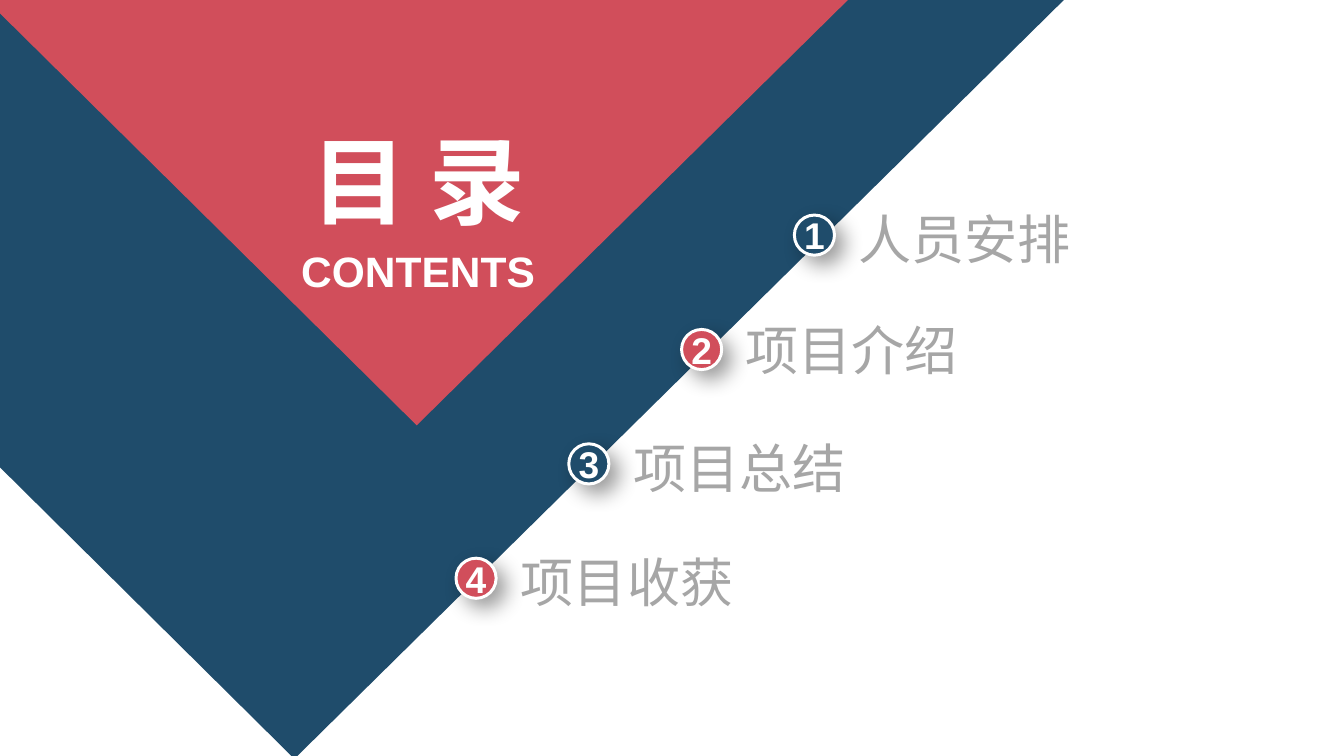
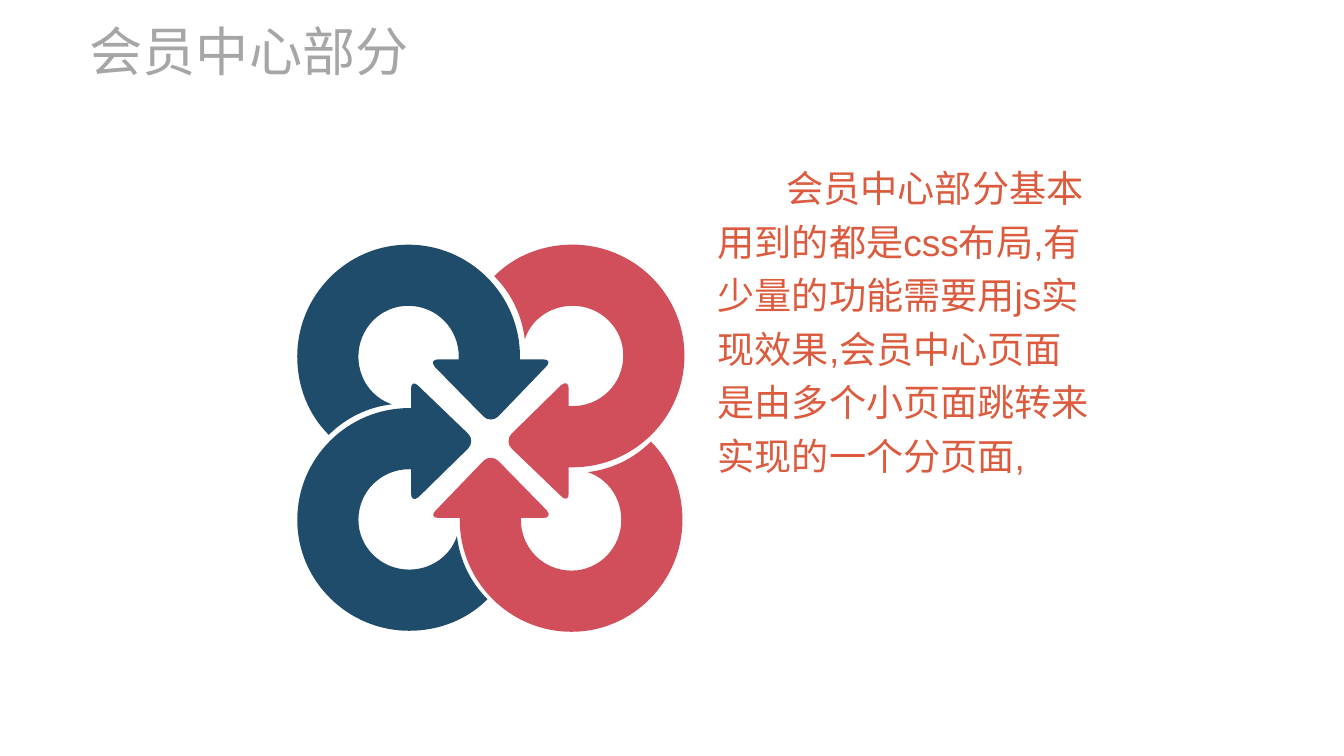
from lxml import etree
from pptx import Presentation
from pptx.dml.color import RGBColor
from pptx.enum.shapes import MSO_SHAPE
from pptx.enum.text import MSO_ANCHOR, MSO_AUTO_SIZE, PP_ALIGN
from pptx.oxml.ns import qn
from pptx.util import Inches, Pt

OVAL = MSO_SHAPE.OVAL
TOP, MIDDLE = MSO_ANCHOR.TOP, MSO_ANCHOR.MIDDLE
LEFT, CENTER = PP_ALIGN.LEFT, PP_ALIGN.CENTER
NO_FIT = MSO_AUTO_SIZE.NONE
TITLE_ONLY = 5

NAVY = RGBColor(0x1F, 0x4C, 0x6B)
RED = RGBColor(0xD1, 0x4E, 0x5B)
GREY = RGBColor(0xA6, 0xA6, 0xA6)
ORANGE = RGBColor(0xDC, 0x5B, 0x3E)
WHITE = RGBColor(0xFF, 0xFF, 0xFF)

HEADING = {"size": Pt(40), "color": GREY, "bold": False}
BADGE = {"size": Pt(28), "color": WHITE, "bold": True}
COVER_TITLE = {"size": Pt(72), "color": WHITE, "bold": True}
COVER_SUBTITLE = {"size": Pt(32), "color": WHITE, "bold": True}
BODY = {"size": Pt(28), "color": ORANGE, "bold": False}

# Outlines: a pair is a line end; six numbers are two control points
# and the end of a curve.
WEDGES = [
    (NAVY, [(0, 0), (11.13, 0), (3.08, 7.94), (0, 4.89)]),
    (RED, [(0, 0), (8.87, 0), (4.36, 4.45), (0, 0.14)]),
]
# Label, left, top, width
CONTENTS = [
    ("人员安排", 8.98, 2.16, 2.87),
    ("项目介绍", 7.8, 3.32, 3.95),
    ("项目总结", 6.63, 4.55, 2.87),
    ("项目收获", 5.45, 5.75, 2.87),
]
LABEL_HEIGHT = 0.67
BADGE_SIZE = 0.42
FIRST_BADGE, LAST_BADGE = (8.31, 2.25), (4.77, 5.84)

BODY_TEXT = ("会员中心部分基本用到的都是css布局,有少量的功能需要用js实现效果,"
             "会员中心页面是由多个小页面跳转来实现的一个分页面,")
ARROW_HEAD = [
    (5.68, 3.76),
    (5.74, 3.76, 5.76, 3.79, 5.71, 3.84),
    (5.21, 4.36),
    (5.17, 4.4, 5.1, 4.4, 5.06, 4.36),
    (4.55, 3.84),
    (4.51, 3.79, 4.53, 3.76, 4.59, 3.76),
]
ARROW_RING = [
    (4.27, 2.56),
    (3.63, 2.56, 3.11, 3.09, 3.11, 3.73),
    (3.11, 4.05, 3.23, 4.34, 3.44, 4.55),
    (3.62, 4.37, 3.85, 4.26, 4.1, 4.23),
    (3.89, 4.16, 3.75, 3.96, 3.75, 3.73),
    (3.75, 3.44, 3.98, 3.2, 4.27, 3.2),
    (4.57, 3.2, 4.8, 3.44, 4.8, 3.73),
    (4.8, 3.79, 4.79, 3.84, 4.78, 3.89),
    (4.89, 3.89), (4.89, 4.03), (5.4, 4.03),
    (5.43, 3.93, 5.44, 3.83, 5.44, 3.73),
    (5.44, 3.09, 4.92, 2.56, 4.27, 2.56),
]
# Each quarter is turned clockwise from the one before:
# colour, corner of the head, corner of the ring
QUARTERS = [
    (NAVY, (4.51, 3.76), (3.11, 2.56)),
    (RED, (5.31, 3.99), (5.17, 2.56)),
    (RED, (4.51, 4.78), (4.81, 4.62)),
    (NAVY, (4.3, 3.99), (3.11, 4.27)),
]


def write(sp, text, style, align=LEFT, anchor=MIDDLE, inset=0):
    tf = sp.text_frame
    frame = {"word_wrap": True, "auto_size": NO_FIT, "vertical_anchor": anchor}
    if inset is not None:
        frame |= {f"margin_{side}": Inches(inset)
                  for side in ("left", "top", "right", "bottom")}
    for name, value in frame.items():
        setattr(tf, name, value)
    p = tf.paragraphs[0]
    p.alignment = align
    r = p.add_run()
    r.text = text
    r.font.name = "Arial"
    r.font.size, r.font.bold = style["size"], style["bold"]
    r.font.color.rgb = style["color"]
    return p


def add_text(s, box, text, style, **layout):
    return write(s.shapes.add_textbox(*map(Inches, box)), text, style, **layout)


def set_title(s, box, text, style, **layout):
    """Fill the title placeholder and bring it to the front."""
    sp = s.shapes.title
    sp.left, sp.top, sp.width, sp.height = map(Inches, box)
    write(sp, text, style, **layout)
    tree = sp.element.getparent()
    tree.append(sp.element)


def pairs(segment):
    return list(zip(segment[::2], segment[1::2]))


def add_outline(s, segments, color=None):
    """Draw a closed outline; without a colour it is left unfilled."""
    points = [(Inches(x), Inches(y)) for seg in segments for x, y in pairs(seg)]
    builder = s.shapes.build_freeform(*points[0])
    builder.add_line_segments(points[1:], close=True)
    sp = builder.convert_to_shape()
    sp.shadow.inherit = False
    sp.line.fill.background()
    if color is None:
        sp.fill.background()
    else:
        sp.fill.solid()
        sp.fill.fore_color.rgb = color
    bend_curves(sp, segments)
    return sp


def bend_curves(sp, segments):
    """Join the three line ends of every curve into one Bézier element."""
    outline = sp.element.find(".//" + qn("a:path"))
    lines = iter(outline.findall(qn("a:lnTo")))
    for seg in segments[1:]:
        first, *others = [next(lines) for _ in pairs(seg)]
        if others:
            first.tag = qn("a:cubicBezTo")
        for line in others:
            first.append(line[0])
            outline.remove(line)


def quarter_turn(segments):
    return [tuple(v for x, y in pairs(seg) for v in (-y, x)) for seg in segments]


def move_to(segments, corner):
    points = [pt for seg in segments for pt in pairs(seg)]
    dx, dy = (c - min(axis) for c, axis in zip(corner, zip(*points)))
    return [tuple(v for x, y in pairs(seg) for v in (x + dx, y + dy))
            for seg in segments]


def add_shadow(sp):
    sp.shadow.inherit = False
    effects = sp.element.spPr.find(qn("a:effectLst"))
    shadow = etree.SubElement(effects, qn("a:outerShdw"), blurRad=str(Pt(16)),
                              dist=str(Pt(9)), dir=str(45 * 60000),
                              algn="tl", rotWithShape="0")
    color = etree.SubElement(shadow, qn("a:srgbClr"), val="000000")
    etree.SubElement(color, qn("a:alpha"), val="40000")


def add_badge(s, x, y, number, color):
    sp = s.shapes.add_shape(OVAL, *map(Inches, (x, y, BADGE_SIZE, BADGE_SIZE)))
    sp.fill.solid()
    sp.fill.fore_color.rgb = color
    sp.line.color.rgb = WHITE
    sp.line.width = Pt(2.25)
    add_shadow(sp)
    write(sp, str(number), BADGE, align=CENTER)


def add_label(s, text, x, y, width):
    right, bottom = x + width, y + LABEL_HEIGHT
    sp = add_outline(s, [(x, y), (right, y), (right, bottom), (x, bottom)])
    write(sp, text, HEADING)


def contents_slide(prs):
    s = prs.slides.add_slide(prs.slide_layouts[TITLE_ONLY])
    for color, outline in WEDGES:
        add_outline(s, outline, color)
    for i, label in enumerate(CONTENTS):
        share = i / (len(CONTENTS) - 1)
        x, y = (a + (b - a) * share for a, b in zip(FIRST_BADGE, LAST_BADGE))
        add_badge(s, x, y, i + 1, (NAVY, RED)[i % 2])
        add_label(s, *label)
    set_title(s, (2.94, 1.27, 2.87, 1.21), "目 录", COVER_TITLE, align=CENTER)
    add_text(s, (3.1, 2.56, 2.55, 0.54), "CONTENTS", COVER_SUBTITLE,
             align=CENTER, anchor=TOP)


def member_slide(prs):
    s = prs.slides.add_slide(prs.slide_layouts[TITLE_ONLY])
    head, ring = ARROW_HEAD, ARROW_RING
    for color, head_corner, ring_corner in QUARTERS:
        add_outline(s, move_to(head, head_corner), color)
        add_outline(s, move_to(ring, ring_corner), color)
        head, ring = quarter_turn(head), quarter_turn(ring)
    set_title(s, (0.94, 0.19, 4.32, 0.67), "会员中心部分", HEADING)
    p = add_text(s, (7.41, 1.59, 4.16, 3.49), BODY_TEXT, BODY,
                 anchor=TOP, inset=None)
    p.line_spacing = 1.2
    p._p.get_or_add_pPr().set("indent", str(Inches(0.72)))


def main():
    prs = Presentation()
    prs.slide_width, prs.slide_height = Inches(14.06), Inches(7.91)
    contents_slide(prs)
    member_slide(prs)
    prs.save("out.pptx")


if __name__ == "__main__":
    main()
